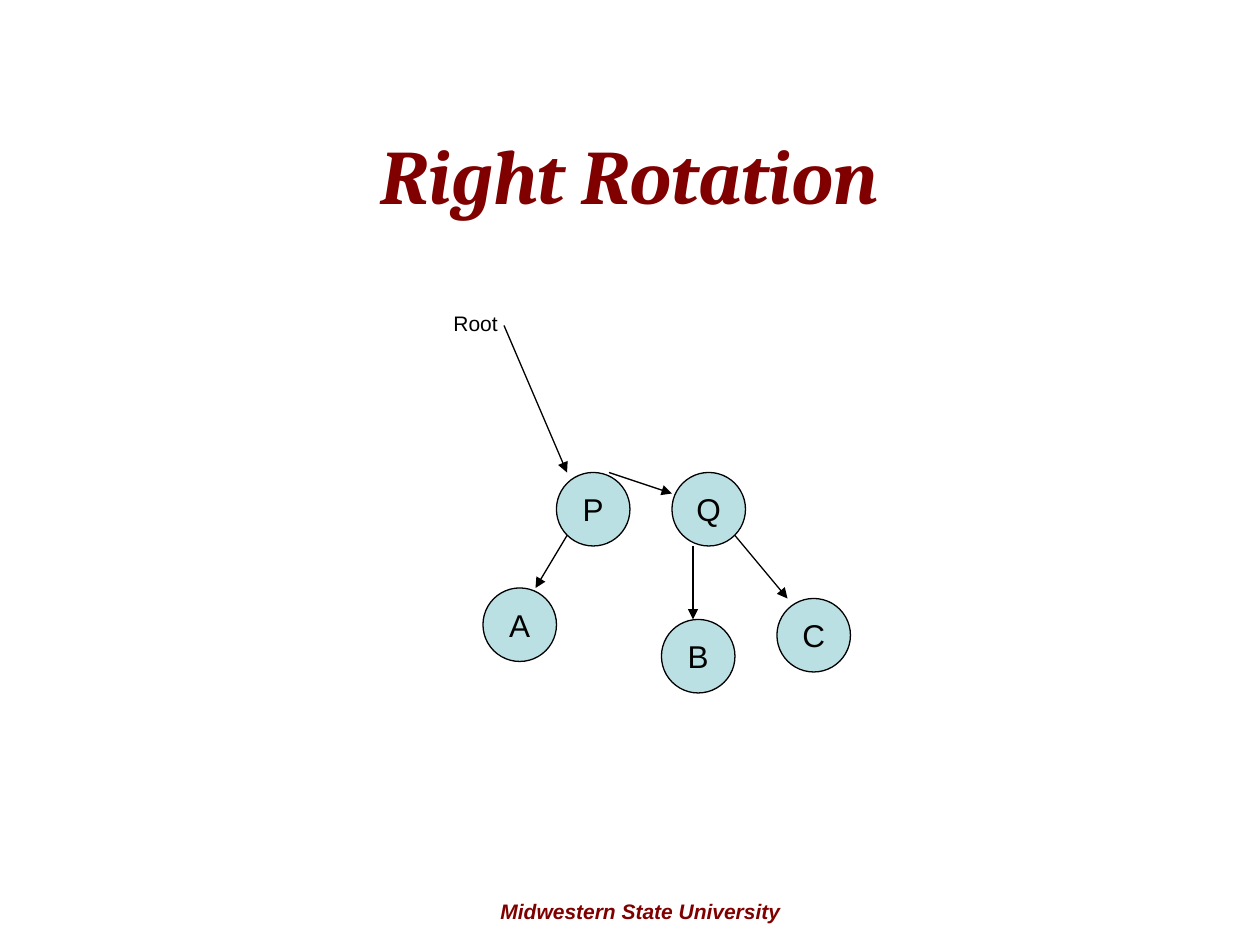
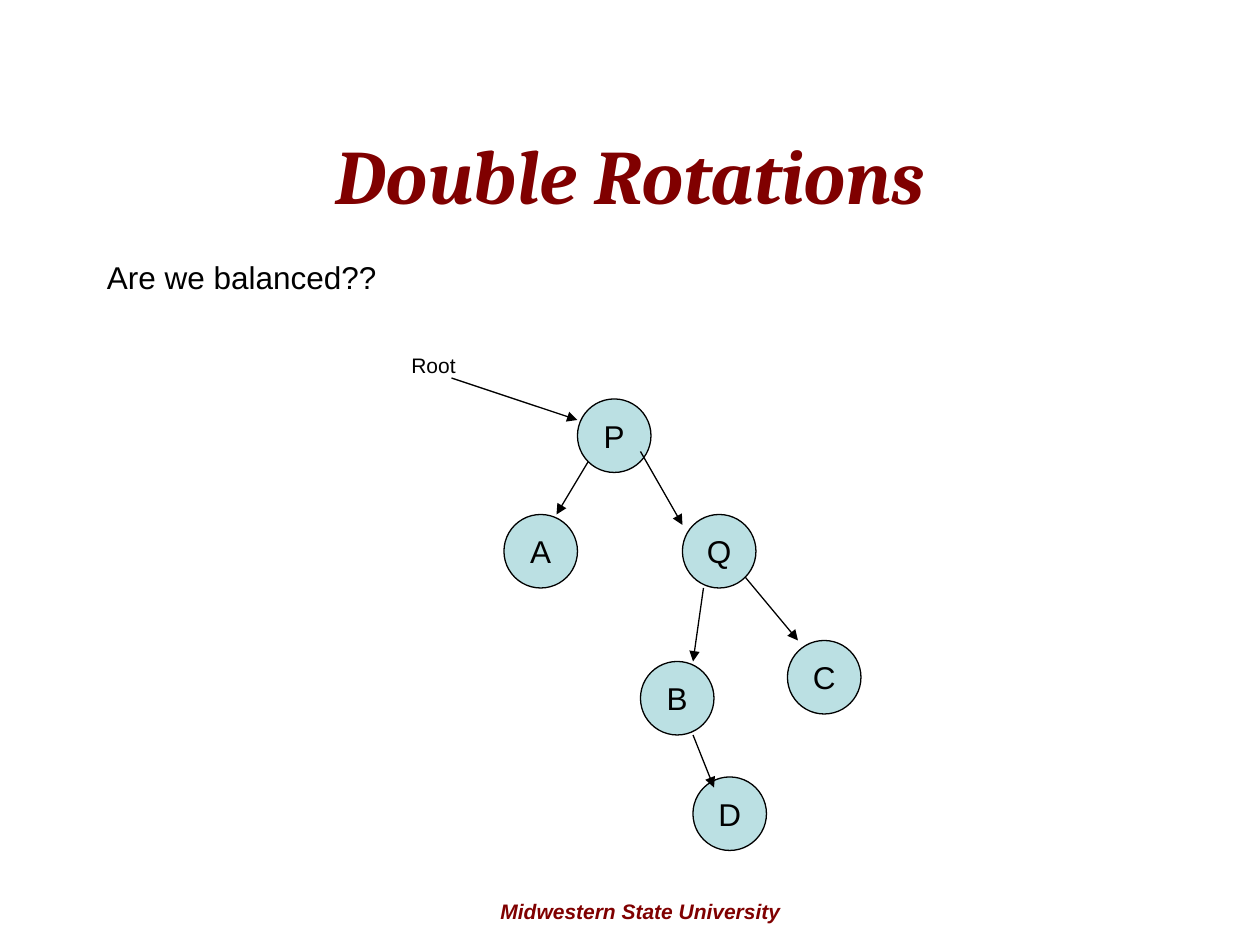
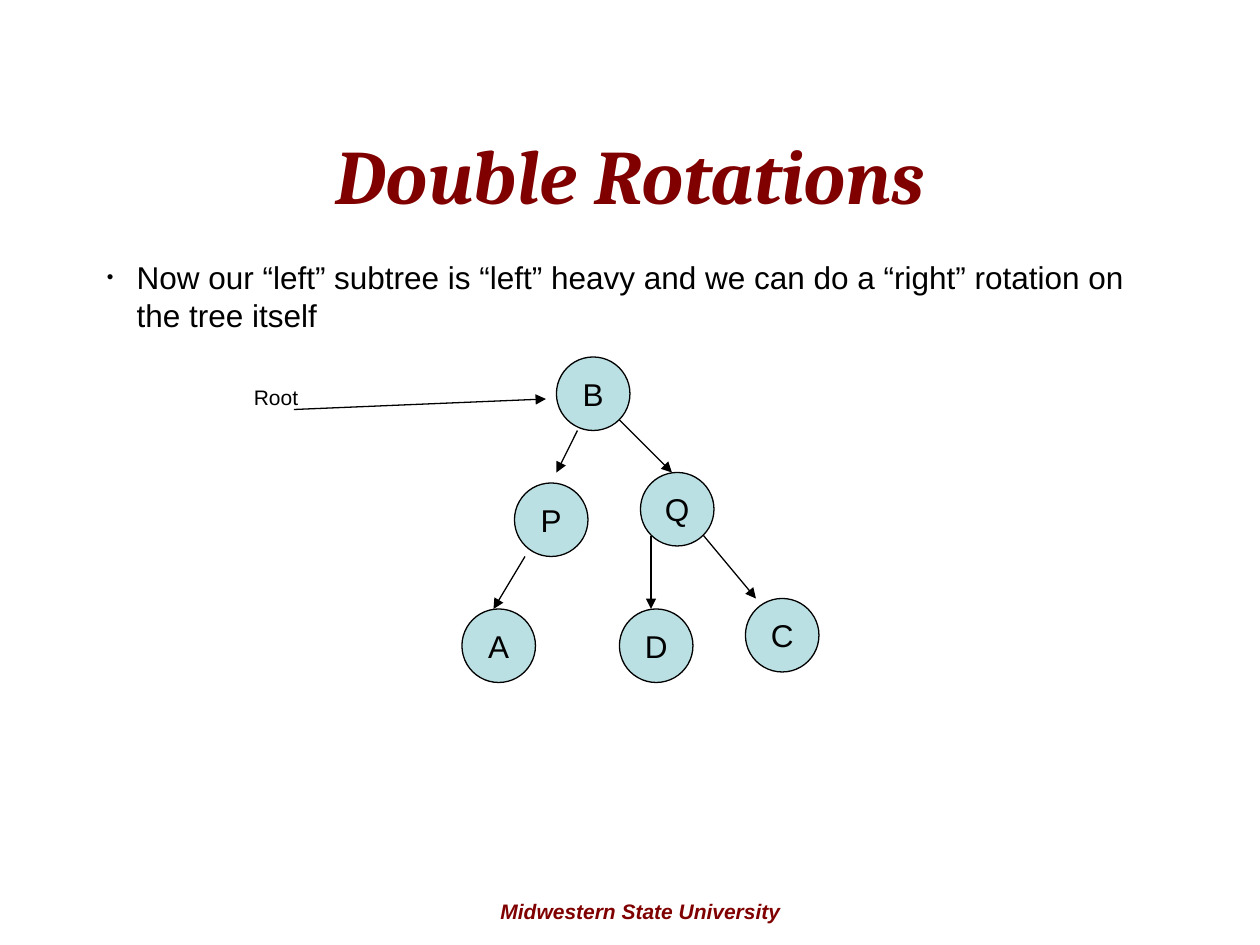
from dataclasses import dataclass
from typing import NamedTuple

from lxml.etree import SubElement
from pptx import Presentation
from pptx.dml.color import RGBColor as Rgb
from pptx.enum.shapes import MSO_CONNECTOR as Connector, MSO_SHAPE as Preset
from pptx.enum.text import MSO_ANCHOR as Anchor, MSO_AUTO_SIZE as AutoSize, PP_ALIGN as Align
from pptx.oxml.ns import qn
from pptx.util import Cm, Pt


@dataclass(frozen=True)
class Theme:
    """Colours, fonts and sizes that all slides share."""
    maroon: Rgb = Rgb(0x80, 0x00, 0x00)
    ink: Rgb = Rgb(0x00, 0x00, 0x00)
    node: Rgb = Rgb(0xBB, 0xE0, 0xE3)
    paper: Rgb = Rgb(0xFF, 0xFF, 0xFF)
    heading_font: str = "Cambria"
    body_font: str = "Arial"
    title_size: float = 44
    body_size: float = 18
    small_size: float = 12
    line_width: float = 0.74


class Box(NamedTuple):
    """A region in centimetres."""
    left: float
    top: float
    width: float
    height: float


THEME = Theme()
STEP = 2.54 / 12        # the slide grid, twelve steps to the inch
NODE_STEPS = 7
ROOT_STEPS = (8, 3.6)
BULLET_INDENT = 0.6


def grid_box(left, top, width, height):
    """Turn grid steps into a box in centimetres."""
    return Box(*(steps * STEP for steps in (left, top, width, height)))


SLIDE = grid_box(0, 0, 120, 90)
TITLE = grid_box(6, 9, 108, 15)
REMARK = grid_box(9, 24, 103, 4.8)
FOOTER = grid_box(42, 85, 38, 3.6)

# Nodes and arrows are in grid steps from the corner of the tree's box.
# An arrow is keyed by its parent and child.
LESSONS = [
    {
        "title": "Right Rotation",
        "tree": grid_box(42, 29, 39, 37),
        "root": (0, 0),
        "nodes": {"Q": (22, 16), "P": (11, 16), "A": (4, 27),
                  "B": (21, 30), "C": (32, 28)},
        "arrows": {"Root P": (6, 2, 12, 16), "Q B": (24, 23, 24, 30),
                   "P A": (12, 22, 9, 27), "P Q": (16, 16, 22, 18),
                   "Q C": (28, 22, 33, 28)},
    },
    {
        "title": "Double Rotations",
        "remark": "Are we balanced??",
        "tree": grid_box(38, 33, 44, 48),
        "root": (0, 0),
        "nodes": {"Q": (27, 16), "P": (17, 5), "A": (10, 16),
                  "B": (23, 30), "C": (37, 28), "D": (28, 41)},
        "arrows": {"Root P": (5, 3, 17, 7), "Q B": (29, 23, 28, 30),
                   "P A": (18, 11, 15, 16), "P Q": (23, 10, 27, 17),
                   "Q C": (33, 22, 38, 28), "B D": (28, 37, 30, 42)},
    },
    {
        "title": "Double Rotations",
        "remark": "Now our “left” subtree is “left” heavy and we can do "
                  "a “right” rotation on the tree itself",
        "bullet": True,
        "tree": grid_box(23, 34, 55, 31),
        "root": (0, 2),
        "nodes": {"Q": (38, 11), "P": (26, 12), "A": (21, 24),
                  "B": (30, 0), "C": (48, 23), "D": (36, 24)},
        "arrows": {"Root B": (5, 5, 29, 4), "Q D": (39, 17, 39, 24),
                   "P A": (27, 19, 24, 24), "B P": (32, 7, 30, 11),
                   "Q C": (44, 17, 49, 23), "B Q": (36, 6, 41, 11)},
    },
]


def apply(target, **values):
    """Set each named attribute on the target."""
    for attribute, value in values.items():
        setattr(target, attribute, value)


def write(shape, text, size, color=THEME.ink, font=THEME.body_font, emphasis=False,
          frame=None, **paragraph_format):
    """Put one formatted paragraph in a shape and return it."""
    apply(shape.text_frame, **{"word_wrap": True, **(frame or {})})
    paragraph = shape.text_frame.paragraphs[0]
    apply(paragraph, **paragraph_format)
    run = paragraph.add_run()
    run.text = text
    apply(run.font, name=font, size=Pt(size), bold=emphasis, italic=emphasis)
    run.font.color.rgb = color
    return paragraph


def add_text(slide, box, text, size, **style):
    """Add a text box filling the given box."""
    return write(slide.shapes.add_textbox(*map(Cm, box)), text, size, **style)


def add_title(slide, box, text):
    """Add the large slide title."""
    add_text(slide, box, text, THEME.title_size, color=THEME.maroon,
             font=THEME.heading_font, emphasis=True, alignment=Align.CENTER,
             frame={"vertical_anchor": Anchor.MIDDLE})


def add_footer(slide, box):
    """Add the name of the school at the foot."""
    add_text(slide, box, "Midwestern State University", THEME.small_size,
             color=THEME.maroon, emphasis=True, alignment=Align.CENTER,
             space_before=Pt(7.5), frame={"auto_size": AutoSize.SHAPE_TO_FIT_TEXT})


def add_remark(slide, box, text, bullet):
    """Add the sentence under the title, with a bullet if asked."""
    if bullet:
        box = box._replace(height=8.4 * STEP)
    paragraph = add_text(slide, box, text, THEME.body_size, space_before=Pt(11.2),
                         frame={"auto_size": AutoSize.SHAPE_TO_FIT_TEXT})
    if bullet:
        properties = paragraph._p.get_or_add_pPr()
        properties.set("marL", str(Cm(BULLET_INDENT)))
        properties.set("indent", str(-Cm(BULLET_INDENT)))
        color = SubElement(properties, qn("a:buClr"))
        SubElement(color, qn("a:srgbClr"), val=str(THEME.ink))
        SubElement(properties, qn("a:buSzPct"), val="60000")
        SubElement(properties, qn("a:buFont"), typeface=THEME.body_font)
        SubElement(properties, qn("a:buChar"), char="•")


def add_node(slide, box, letter):
    """Add one tree node as a lettered circle."""
    circle = slide.shapes.add_shape(Preset.OVAL, *map(Cm, box))
    circle.shadow.inherit = False
    circle.fill.solid()
    circle.fill.fore_color.rgb = THEME.node
    circle.line.color.rgb = THEME.ink
    circle.line.width = Pt(THEME.line_width)
    write(circle, letter, THEME.body_size, alignment=Align.CENTER,
          frame={"word_wrap": False, "vertical_anchor": Anchor.MIDDLE})


def add_arrow(slide, ends):
    """Add an arrow from parent to child, ends in centimetres."""
    arrow = slide.shapes.add_connector(Connector.STRAIGHT, *map(Cm, ends))
    arrow.line.color.rgb = THEME.ink
    arrow.line.width = Pt(THEME.line_width)
    SubElement(arrow.line._get_or_add_ln(), qn("a:tailEnd"), type="triangle")
    SubElement(arrow._element.spPr, qn("a:effectLst"))


def add_tree(slide, box, root, nodes, arrows):
    """Draw nodes, root label and arrows relative to the box."""
    def place(column, row):
        return box.left + column * STEP, box.top + row * STEP

    side = NODE_STEPS * STEP
    for letter, corner in nodes.items():
        add_node(slide, Box(*place(*corner), side, side), letter)
    label = Box(*place(*root), *(steps * STEP for steps in ROOT_STEPS))
    add_text(slide, label, "Root", THEME.small_size, space_before=Pt(7.5),
             frame={"auto_size": AutoSize.SHAPE_TO_FIT_TEXT})
    for ends in arrows.values():
        add_arrow(slide, place(*ends[:2]) + place(*ends[2:]))


def add_lesson(deck, lesson):
    """Build one slide with title, optional remark, tree and footer."""
    slide = deck.slides.add_slide(deck.slide_layouts[6])
    slide.background.fill.solid()
    slide.background.fill.fore_color.rgb = THEME.paper
    add_footer(slide, FOOTER)
    add_title(slide, TITLE, lesson["title"])
    if "remark" in lesson:
        add_remark(slide, REMARK, lesson["remark"], lesson.get("bullet", False))
    add_tree(slide, lesson["tree"], lesson["root"], lesson["nodes"], lesson["arrows"])


deck = Presentation()
apply(deck, slide_width=Cm(SLIDE.width), slide_height=Cm(SLIDE.height))
for lesson in LESSONS:
    add_lesson(deck, lesson)
deck.save("out.pptx")
